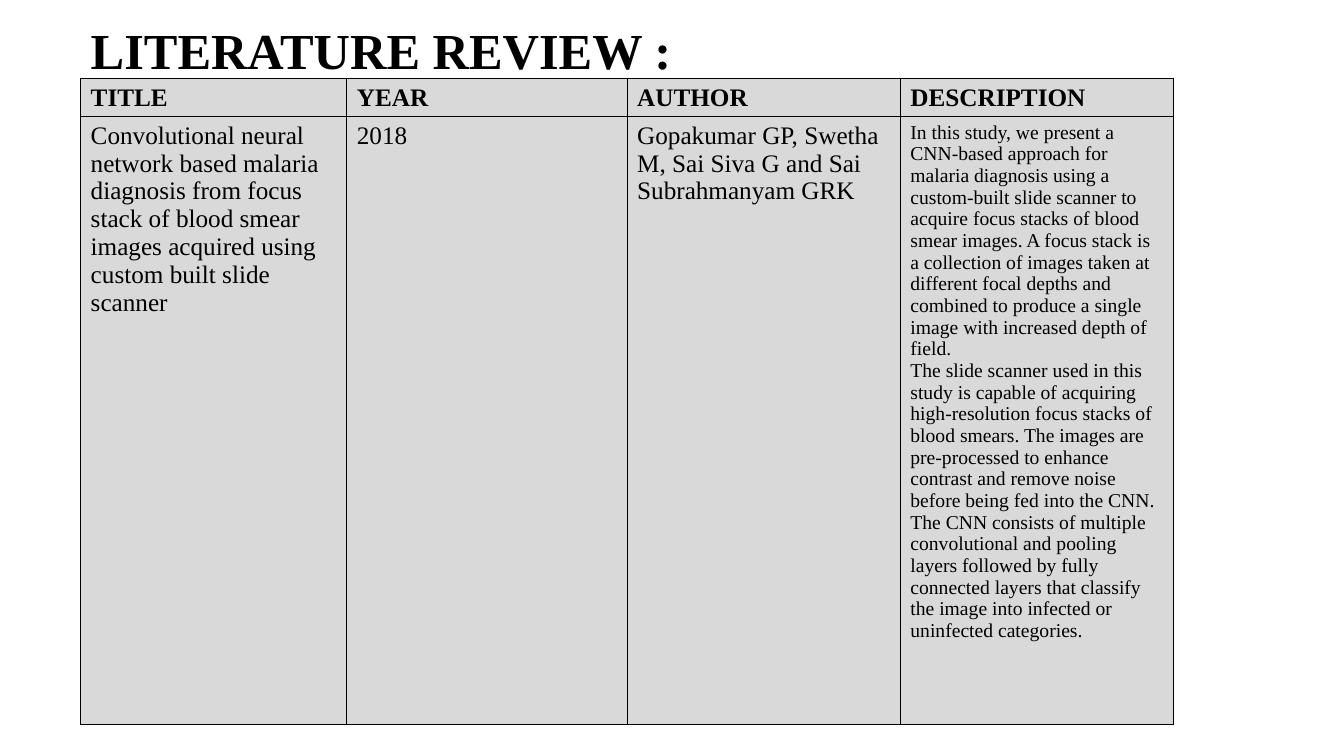
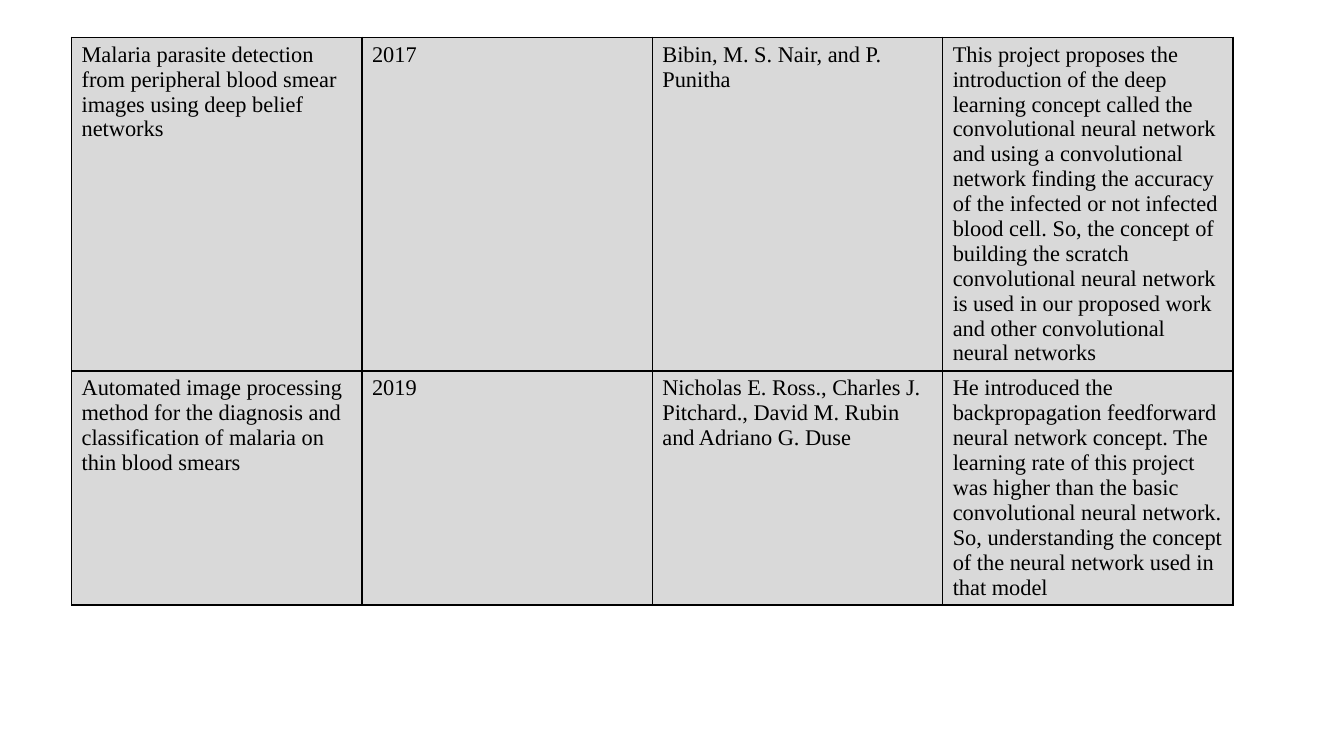
from lxml.etree import SubElement
from pptx import Presentation
from pptx.dml.color import RGBColor
from pptx.enum.text import MSO_ANCHOR, PP_ALIGN
from pptx.oxml.ns import qn
from pptx.util import Inches, Pt

BLACK = RGBColor(0x00, 0x00, 0x00)
GRAY = RGBColor(0xD9, 0xD9, 0xD9)
FONT = "Times New Roman"
TITLE_ONLY, BLANK = 5, 6


class ReviewDeck:
    def __init__(self):
        self.presentation = Presentation()
        self.presentation.slide_width = Inches(13.33)
        self.presentation.slide_height = Inches(7.5)
        self.slide = None

    def add_slide(self, layout):
        self.slide = self.presentation.slides.add_slide(
            self.presentation.slide_layouts[layout])

    def style(self, paragraph, size, bold=False):
        paragraph.alignment = PP_ALIGN.LEFT
        font = paragraph.font
        font.name, font.size, font.bold = FONT, Pt(size), bold
        font.color.rgb = BLACK

    def title(self, text):
        shape = self.slide.shapes.title
        shape.left, shape.top = Inches(0.8), Inches(-0.2)
        shape.width, shape.height = Inches(11.5), Inches(1.45)
        shape.text_frame.text = text
        shape.text_frame.vertical_anchor = MSO_ANCHOR.MIDDLE
        paragraph = shape.text_frame.paragraphs[0]
        paragraph.line_spacing = 0.9
        self.style(paragraph, 36, bold=True)

    def border(self, cell):
        properties = cell._tc.get_or_add_tcPr()
        for side in ("a:lnL", "a:lnR", "a:lnT", "a:lnB"):
            line = SubElement(properties, qn(side), w=str(Pt(1)))
            fill = SubElement(line, qn("a:solidFill"))
            SubElement(fill, qn("a:srgbClr"), val=str(BLACK))

    def cell(self, cell, text, size, bold):
        cell.text = text
        for paragraph in cell.text_frame.paragraphs:
            self.style(paragraph, size, bold)
        self.border(cell)
        cell.fill.solid()
        cell.fill.fore_color.rgb = GRAY

    def table(self, left, top, widths, heights, rows, sizes, header=False):
        table = self.slide.shapes.add_table(
            len(rows), len(widths), Inches(left), Inches(top),
            Inches(sum(widths)), Inches(sum(heights))).table
        table.first_row = header
        table.horz_banding = False
        for column, width in zip(table.columns, widths):
            column.width = Inches(width)
        for index, (row, height, texts) in enumerate(zip(table.rows, heights, rows)):
            row.height = Inches(height)
            is_header = header and index == 0
            for cell, text, size in zip(row.cells, texts, sizes):
                self.cell(cell, text, sizes[0] if is_header else size, is_header)


def main():
    deck = ReviewDeck()

    deck.add_slide(TITLE_ONLY)
    deck.title("LITERATURE REVIEW :")
    deck.table(0.8, 0.78, [2.64, 2.78, 2.71, 2.71], [0.36, 6.03], [
        ["TITLE", "YEAR", "AUTHOR", "DESCRIPTION"],
        ["Convolutional neural network based malaria diagnosis from focus stack "
         "of blood smear images acquired using custom built slide scanner",
         "2018",
         "Gopakumar GP, Swetha M, Sai Siva G and Sai Subrahmanyam GRK",
         "In this study, we present a CNN-based approach for malaria diagnosis "
         "using a custom-built slide scanner to acquire focus stacks of blood "
         "smear images. A focus stack is a collection of images taken at "
         "different focal depths and combined to produce a single image with "
         "increased depth of field.\n"
         "The slide scanner used in this study is capable of acquiring "
         "high-resolution focus stacks of blood smears. The images are "
         "pre-processed to enhance contrast and remove noise before being fed "
         "into the CNN. The CNN consists of multiple convolutional and pooling "
         "layers followed by fully connected layers that classify the image "
         "into infected or uninfected categories."],
    ], sizes=[18, 18, 18, 14], header=True)

    deck.add_slide(BLANK)
    deck.table(0.71, 0.37, [2.88] * 4, [3.31, 2.32], [
        ["Malaria parasite detection from peripheral blood smear images using "
         "deep belief networks",
         "2017",
         "Bibin, M. S. Nair, and P. Punitha",
         "This project proposes the introduction of the deep learning concept "
         "called the convolutional neural network and using a convolutional "
         "network finding the accuracy of the infected or not infected blood "
         "cell. So, the concept of building the scratch convolutional neural "
         "network is used in our proposed work and other convolutional neural "
         "networks"],
        ["Automated image processing method for the diagnosis and "
         "classification of malaria on thin blood smears",
         "2019",
         "Nicholas E. Ross., Charles J. Pitchard., David M. Rubin and "
         "Adriano G. Duse",
         "He introduced the backpropagation feedforward neural network concept. "
         "The learning rate of this project was higher than the basic "
         "convolutional neural network. So, understanding the concept of the "
         "neural network used in that model"],
    ], sizes=[16] * 4)

    deck.presentation.save("out.pptx")


if __name__ == "__main__":
    main()
